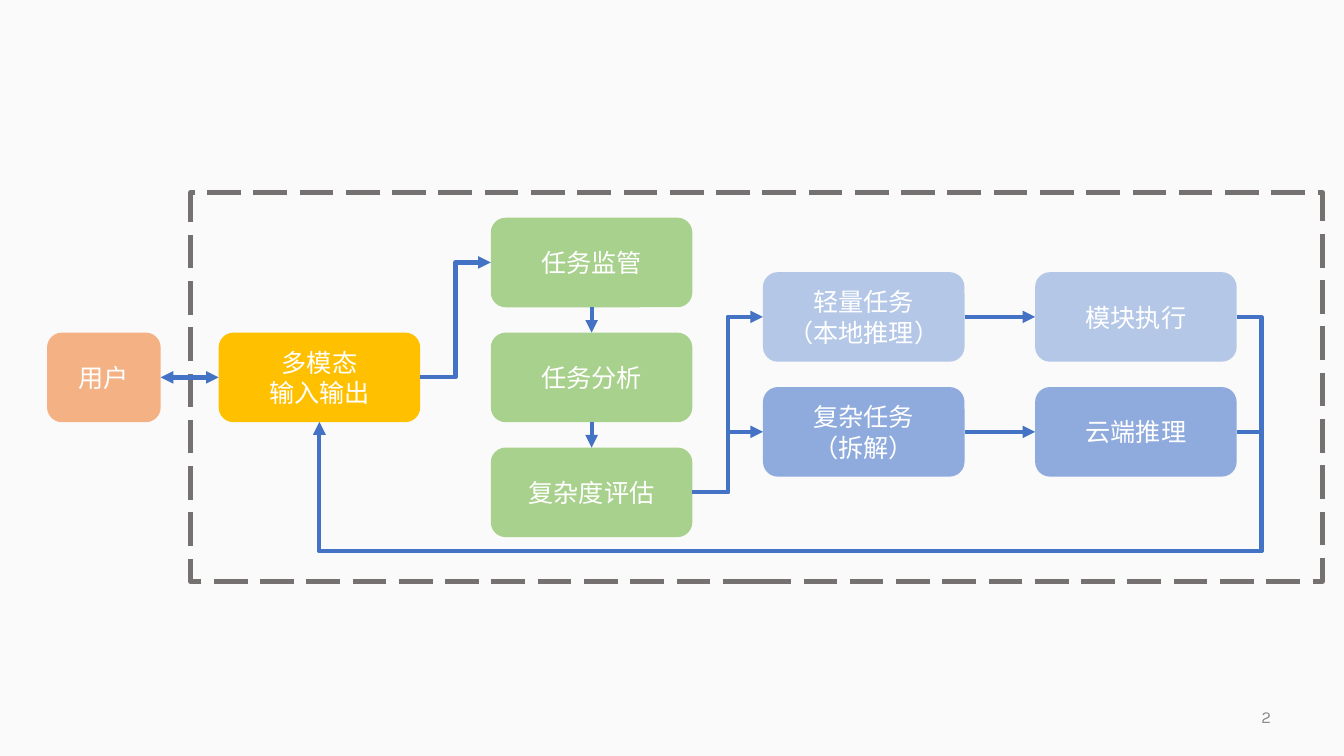
from lxml import etree
from pptx import Presentation
from pptx.dml.color import RGBColor
from pptx.enum.dml import MSO_LINE
from pptx.enum.shapes import MSO_CONNECTOR, MSO_SHAPE
from pptx.enum.text import MSO_ANCHOR, PP_ALIGN
from pptx.oxml.ns import qn
from pptx.util import Pt

STRAIGHT, ELBOW = MSO_CONNECTOR.STRAIGHT, MSO_CONNECTOR.ELBOW
ROUNDED, RECTANGLE = MSO_SHAPE.ROUNDED_RECTANGLE, MSO_SHAPE.RECTANGLE
LONG_DASH = MSO_LINE.LONG_DASH
MIDDLE = MSO_ANCHOR.MIDDLE
CENTER, RIGHT_ALIGNED = PP_ALIGN.CENTER, PP_ALIGN.RIGHT
TOP, LEFT, BOTTOM, RIGHT = range(4)

COLORS = {
    "background": "FAFAFA", "text": "FFFFFF", "number": "8C8C8C",
    "user": "F4B183", "io": "FFC000", "task": "A9D18E",
    "local": "B4C7E7", "cloud": "8FAADC",
    "frame": "767171", "arrow": "4472C4",
}
CARD_WIDTH, CARD_HEIGHT = 144, 64
COLUMNS = [156.2 + 194.4 * i for i in range(4)]
ROW_STEP = 82.1
TASK_TOP, BRANCH_TOP = 155.5, 194.4
IO_TOP = TASK_TOP + ROW_STEP


class Diagram:
    font = "Noto Sans CJK SC"
    number_font = "Karla"
    line_width = 3

    def __init__(self, slide):
        self.slide = slide
        self.shapes = slide.shapes
        slide.background.fill.solid()
        slide.background.fill.fore_color.rgb = self.color("background")

    def color(self, key):
        return RGBColor.from_string(COLORS[key])

    def label(self, shape, text, font, size, color, align):
        frame = shape.text_frame
        frame.word_wrap = True
        frame.vertical_anchor = MIDDLE
        frame.text = text
        for paragraph in frame.paragraphs:
            paragraph.alignment = align
            paragraph.font.size = Pt(size)
            paragraph.font.color.rgb = self.color(color)
            paragraph.font.name = font
            properties = paragraph._p.pPr.find(qn("a:defRPr"))
            etree.SubElement(properties, qn("a:ea"), typeface=font)

    def card(self, text, left, top, color, width=CARD_WIDTH):
        card = self.shapes.add_shape(ROUNDED, Pt(left), Pt(top), Pt(width), Pt(CARD_HEIGHT))
        card.shadow.inherit = False
        card.fill.solid()
        card.fill.fore_color.rgb = self.color(color)
        card.line.fill.background()
        self.label(card, text, self.font, 18, "text", CENTER)
        return card

    def frame(self, left, top, width, height):
        frame = self.shapes.add_shape(RECTANGLE, Pt(left), Pt(top), Pt(width), Pt(height))
        frame.shadow.inherit = False
        frame.fill.background()
        frame.line.color.rgb = self.color("frame")
        frame.line.width = Pt(self.line_width)
        frame.line.dash_style = LONG_DASH

    def arrow(self, source, source_side, target, target_side, kind=STRAIGHT, both=False):
        arrow = self.shapes.add_connector(kind, 0, 0, 0, 0)
        arrow.begin_connect(source, source_side)
        arrow.end_connect(target, target_side)
        arrow.line.color.rgb = self.color("arrow")
        arrow.line.width = Pt(self.line_width)
        properties = arrow._element.spPr
        line = properties.find(qn("a:ln"))
        for end in ("a:headEnd", "a:tailEnd") if both else ("a:tailEnd",):
            etree.SubElement(line, qn(end), type="triangle")
        etree.SubElement(properties, qn("a:effectLst"))
        return arrow

    def return_arrow(self, source, target, turn_x, turn_y):
        arrow = self.arrow(source, RIGHT, target, BOTTOM, ELBOW)
        geometry = arrow._element.spPr.find(qn("a:prstGeom"))
        geometry.set("prst", "bentConnector4")
        guides = geometry.find(qn("a:avLst"))
        if guides is None:
            guides = etree.SubElement(geometry, qn("a:avLst"))
        ratios = (
            (Pt(turn_x) - arrow.begin_x) / (arrow.end_x - arrow.begin_x),
            (Pt(turn_y) - arrow.begin_y) / (arrow.end_y - arrow.begin_y),
        )
        for i, ratio in enumerate(ratios, 1):
            etree.SubElement(guides, qn("a:gd"), name=f"adj{i}", fmla=f"val {round(ratio * 100000)}")

    def page_number(self, text, left, top, width, height):
        number = self.shapes.add_textbox(Pt(left), Pt(top), Pt(width), Pt(height))
        self.label(number, text, self.number_font, 12, "number", RIGHT_ALIGNED)


def main():
    presentation = Presentation()
    presentation.slide_width, presentation.slide_height = Pt(960), Pt(540)
    diagram = Diagram(presentation.slides.add_slide(presentation.slide_layouts[6]))

    diagram.page_number("2", 699.1, 497.5, 216, 28.8)
    supervision, analysis, assessment = [
        diagram.card(text, COLUMNS[1], TASK_TOP + ROW_STEP * row, "task")
        for row, text in enumerate(("任务监管", "任务分析", "复杂度评估"))
    ]
    branches = [
        [diagram.card(text, left, BRANCH_TOP + ROW_STEP * row, color)
         for left, text in zip(COLUMNS[2:], texts)]
        for row, (color, texts) in enumerate((
            ("local", ("轻量任务\v（本地推理）", "模块执行")),
            ("cloud", ("复杂任务\v（拆解）", "云端推理")),
        ))
    ]
    multimodal_io = diagram.card("多模态\n输入输出", COLUMNS[0], IO_TOP, "io")
    diagram.frame(136.1, 137.5, 808.6, 277.9)
    user = diagram.card("用户", 33.6, IO_TOP, "user", 81.2)

    diagram.arrow(supervision, BOTTOM, analysis, TOP)
    diagram.arrow(analysis, BOTTOM, assessment, TOP)
    diagram.arrow(multimodal_io, RIGHT, supervision, LEFT, ELBOW)
    for task, execution in branches:
        diagram.arrow(task, RIGHT, execution, LEFT)
        diagram.arrow(assessment, RIGHT, task, LEFT, ELBOW)
        diagram.return_arrow(execution, multimodal_io, 901.4, 393.5)
    diagram.arrow(user, RIGHT, multimodal_io, LEFT, both=True)

    presentation.save("out.pptx")


if __name__ == "__main__":
    main()
